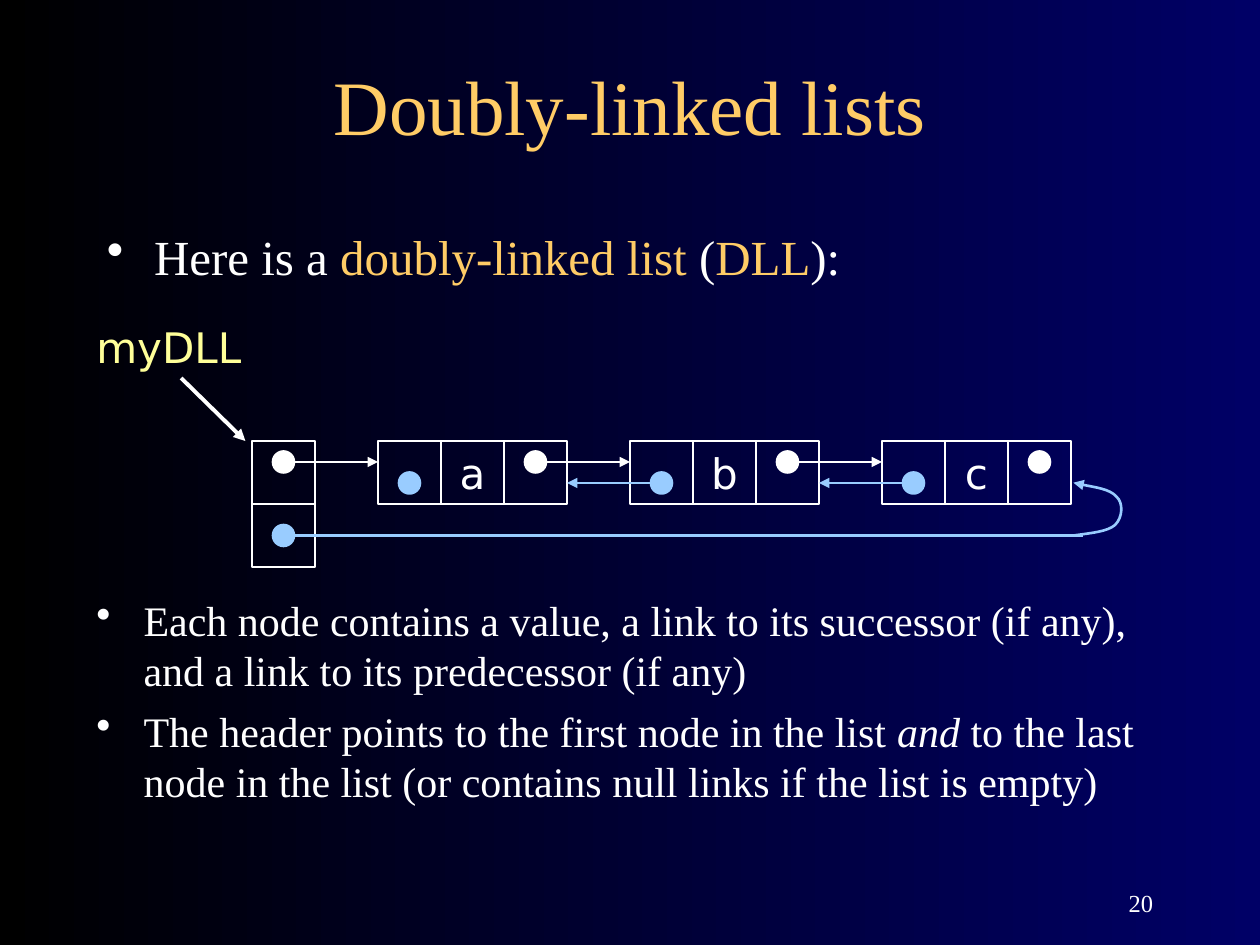
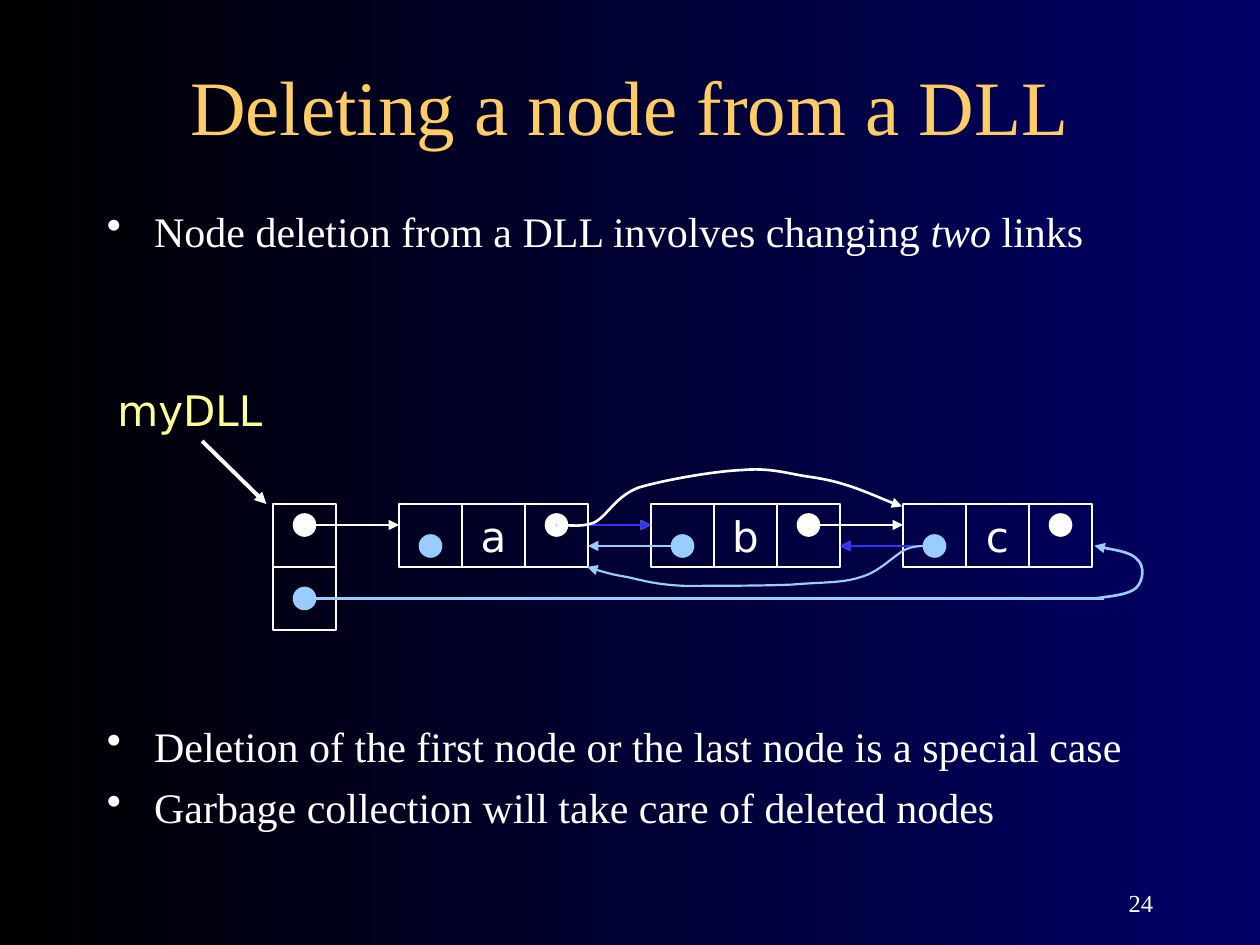
from dataclasses import dataclass

from lxml.etree import SubElement
from pptx import Presentation
from pptx.dml.color import RGBColor
from pptx.enum.shapes import MSO_CONNECTOR, MSO_SHAPE
from pptx.enum.text import MSO_ANCHOR, MSO_AUTO_SIZE, PP_ALIGN
from pptx.oxml.ns import qn
from pptx.util import Pt


@dataclass(frozen=True)
class Theme:
    black: str = "000000"
    navy: str = "000066"
    white: str = "FFFFFF"
    gold: str = "FFCC66"
    yellow: str = "FFFF99"
    sky: str = "99CCFF"
    blue: str = "3333FF"
    serif: str = "Times New Roman"
    sans: str = "DejaVu Sans"
    title_size: int = 44
    lead_size: int = 28
    body_size: int = 24
    number_size: int = 14
    line_width: float = 1.5


THEME = Theme()

# Content: a bullet is a list of (text, style) runs; boxes are left, top, width, height
NODE_VALUES = ["a", "b", "c"]
SLIDES = [
    {
        "title": "Doubly-linked lists",
        "number": "20",
        "bullet_boxes": [
            {"box": (54, 126, 612, 54), "size": THEME.lead_size, "space": 7, "bullets": [
                [("Here is a ", ""), ("doubly-linked list", "term"), (" (", ""),
                 ("DLL", "term"), ("):", "")],
            ]},
            {"box": (48, 336, 612, 186), "size": THEME.body_size, "space": 6, "bullets": [
                [("Each node contains a value, a link to its successor (if any), "
                  "and a link to its predecessor (if any)", "")],
                [("The header points to the first node in the list ", ""), ("and", "italic"),
                 (" to the last node in the list (or contains null links if the list is empty)", "")],
            ]},
        ],
        "list_origin": (144, 252),
        "deleted_node": None,
    },
    {
        "title": "Deleting a node from a DLL",
        "number": "24",
        "bullet_boxes": [
            {"box": (54, 114, 612, 49), "size": THEME.body_size, "space": 6, "bullets": [
                [("Node deletion from a DLL involves changing ", ""), ("two", "italic"),
                 (" links", "")],
            ]},
            {"box": (54, 408, 612, 96), "size": THEME.body_size, "space": 6, "bullets": [
                [("Deletion of the first node or the last node is a special case", "")],
                [("Garbage collection will take care of deleted nodes", "")],
            ]},
        ],
        "list_origin": (156, 288),
        "deleted_node": 1,
    },
]

# Diagram measures, relative to the top left corner of the list header
CELL = 36
DOT = 12
NODE_WIDTH = 3 * CELL
NODE_PITCH = 4 * CELL
FIRST_NODE = 2 * CELL
NEXT_Y, PREVIOUS_Y, LAST_Y = 12, 24, 54

# Bezier points: a start, then two controls and an end for each piece
LAST_LINK_HOOK = [
    (469.4, 54), (479.5, 52.6), (488.9, 51.8), (493.2, 48), (497.5, 43.9),
    (498.2, 35.3), (493.9, 31.7), (490.3, 27.4), (474.5, 25.2), (469.4, 23.8)]
NEXT_BYPASS = [
    (162, 12), (165.8, 11.5), (175.2, 13.7), (183.1, 10.8), (191, 7.2),
    (195.4, -4.3), (209, -9.4), (223.4, -13.7), (251.5, -18.7), (268.1, -19.4),
    (283.9, -20.9), (294.7, -17.3), (304.8, -15.8), (314.2, -14.4),
    (318.5, -13.7), (327.8, -10.8), (337.2, -7.9), (353, -0.7), (359.5, 1.4)]
PREVIOUS_BYPASS = [
    (378, 24), (375.4, 24.5), (368.2, 23), (361.7, 25.9), (354.5, 29.5),
    (346.6, 38.9), (335.8, 41.8), (325, 45.4), (313.4, 44.6), (296.2, 46.1),
    (279.6, 46.8), (250.1, 46.8), (235, 46.8), (219.1, 46.1), (211.9, 43.9),
    (202.6, 41.8), (193.2, 40.3), (183.8, 37.4), (179.5, 36)]


# Text helpers
def color(value):
    return RGBColor.from_string(value)


def add_span(para, text, size, ink=THEME.white, font=THEME.serif, italic=False):
    span = para.add_run()
    span.text = text
    span.font.size = Pt(size)
    span.font.name = font
    span.font.italic = italic
    span.font.color.rgb = color(ink)


def add_text_box(shapes, left, top, width, height):
    box = shapes.add_textbox(Pt(left), Pt(top), Pt(width), Pt(height))
    box.text_frame.word_wrap = True
    return box.text_frame


def add_bullets(page, box, size, space, bullets):
    frame = add_text_box(page.shapes, *box)
    for index, spans in enumerate(bullets):
        para = frame.add_paragraph() if index else frame.paragraphs[0]
        para.space_before = Pt(space)
        props = para._p.get_or_add_pPr()
        props.set("marL", str(Pt(27)))
        props.set("indent", str(-Pt(27)))
        bullet_ink = SubElement(props, qn("a:buClr"))
        SubElement(bullet_ink, qn("a:srgbClr"), val=THEME.white)
        SubElement(props, qn("a:buChar"), char="•")
        for text, style in spans:
            ink = THEME.gold if style == "term" else THEME.white
            add_span(para, text, size, ink, italic=style == "italic")


class ListDiagram:
    """Draws shapes at offsets from the list header's corner."""

    def __init__(self, shapes, origin):
        self.shapes = shapes
        self.left, self.top = origin

    def at(self, x, y):
        return Pt(self.left + x), Pt(self.top + y)

    def style_line(self, shape, ink, width, arrow):
        shape.line.color.rgb = color(ink)
        shape.line.width = Pt(width)
        if arrow:
            SubElement(shape.line._get_or_add_ln(), qn("a:tailEnd"), type="triangle")

    def cell(self, x, y, value=""):
        box = self.shapes.add_shape(MSO_SHAPE.RECTANGLE, *self.at(x, y), Pt(CELL), Pt(CELL))
        box.shadow.inherit = False
        box.fill.background()
        self.style_line(box, THEME.white, THEME.line_width, False)
        if value:
            frame = box.text_frame
            frame.word_wrap = False
            frame.vertical_anchor = MSO_ANCHOR.MIDDLE
            frame.paragraphs[0].alignment = PP_ALIGN.CENTER
            add_span(frame.paragraphs[0], value, THEME.body_size, font=THEME.sans)

    def dot(self, center_x, center_y, ink):
        corner = self.at(center_x - DOT / 2, center_y - DOT / 2)
        dot = self.shapes.add_shape(MSO_SHAPE.OVAL, *corner, Pt(DOT), Pt(DOT))
        dot.shadow.inherit = False
        dot.fill.solid()
        dot.fill.fore_color.rgb = color(ink)
        self.style_line(dot, ink, THEME.line_width, False)

    def link(self, start, end, ink, width=THEME.line_width, arrow=True):
        line = self.shapes.add_connector(
            MSO_CONNECTOR.STRAIGHT, *self.at(*start), *self.at(*end))
        self.style_line(line, ink, width, arrow)
        SubElement(line._element.spPr, qn("a:effectLst"))

    def curve(self, points, ink, width=THEME.line_width):
        places = [self.at(*point) for point in points]
        builder = self.shapes.build_freeform(*places[0])
        builder.add_line_segments(places[1:], close=False)
        curve = builder.convert_to_shape()
        curve.shadow.inherit = False
        curve.fill.background()
        self.style_line(curve, ink, width, True)
        # Merge each three straight segments into one Bezier piece
        segments = list(curve._element.iter(qn("a:lnTo")))
        for first, second, third in zip(segments[::3], segments[1::3], segments[2::3]):
            first.tag = qn("a:cubicBezTo")
            for segment in (second, third):
                first.append(segment[0])
                segment.getparent().remove(segment)

    def next_link(self, x, ink=THEME.white):
        self.link((x, NEXT_Y), (x + 1.5 * CELL, NEXT_Y), ink)

    def previous_link(self, x, ink=THEME.sky):
        self.link((x, PREVIOUS_Y), (x - 1.5 * CELL, PREVIOUS_Y), ink)


def node_left(index):
    return FIRST_NODE + index * NODE_PITCH


def draw_list(page, origin):
    diagram = ListDiagram(page.shapes.add_group_shape().shapes, origin)
    middle = CELL / 2

    # Variable name and its pointer
    diagram.link((-40.5, -36), (-3.75, 0), THEME.white, 2.25)
    label = add_text_box(diagram.shapes, origin[0] - 96, origin[1] - 72, 102, 36)
    label.paragraphs[0].space_before = Pt(15)
    add_span(label.paragraphs[0], "myDLL", THEME.body_size, THEME.yellow, THEME.sans)

    # Header
    diagram.cell(0, 0)
    diagram.cell(0, CELL)
    diagram.dot(middle, NEXT_Y, THEME.white)
    diagram.dot(middle, LAST_Y, THEME.sky)
    diagram.next_link(middle)
    diagram.link((middle, LAST_Y), (475, LAST_Y), THEME.sky, arrow=False)
    diagram.curve(LAST_LINK_HOOK, THEME.sky)

    # Nodes: previous link, value, next link
    for index, value in enumerate(NODE_VALUES):
        left = node_left(index)
        for column, text in enumerate(["", value, ""]):
            diagram.cell(left + column * CELL, 0, text)
        diagram.dot(left + middle, PREVIOUS_Y, THEME.sky)
        diagram.dot(left + NODE_WIDTH - middle, NEXT_Y, THEME.white)
    for index in range(len(NODE_VALUES) - 1):
        diagram.next_link(node_left(index) + NODE_WIDTH - middle)
        diagram.previous_link(node_left(index + 1) + middle)


def draw_deletion(page, origin, deleted):
    diagram = ListDiagram(page.shapes, origin)
    diagram.previous_link(node_left(deleted + 1) + CELL / 2, THEME.blue)
    diagram.next_link(node_left(deleted - 1) + NODE_WIDTH - CELL / 2, THEME.blue)
    diagram.curve(NEXT_BYPASS, THEME.white)
    diagram.curve(PREVIOUS_BYPASS, THEME.sky, 1.25)


# Shared slide parts
def set_background(deck):
    fill = deck.slide_master.background.fill
    fill.gradient()
    fill.gradient_angle = 0
    for stop, ink in zip(fill.gradient_stops, (THEME.black, THEME.navy)):
        stop.color.rgb = color(ink)


def add_title(page, text):
    title = page.shapes.title
    title.left, title.top, title.width, title.height = Pt(54), Pt(30), Pt(612), Pt(60)
    frame = title.text_frame
    frame.auto_size = MSO_AUTO_SIZE.NONE
    frame.vertical_anchor = MSO_ANCHOR.MIDDLE
    frame.paragraphs[0].alignment = PP_ALIGN.CENTER
    add_span(frame.paragraphs[0], text, THEME.title_size, THEME.gold)


def add_number(page, number):
    frame = add_text_box(page.shapes, 516, 492, 150, 36)
    frame.vertical_anchor = MSO_ANCHOR.BOTTOM
    frame.paragraphs[0].alignment = PP_ALIGN.RIGHT
    add_span(frame.paragraphs[0], number, THEME.number_size)


def main():
    deck = Presentation()
    deck.slide_width, deck.slide_height = Pt(720), Pt(540)
    set_background(deck)
    title_only = deck.slide_layouts[5]
    for content in SLIDES:
        page = deck.slides.add_slide(title_only)
        add_title(page, content["title"])
        add_number(page, content["number"])
        for bullet_box in content["bullet_boxes"]:
            add_bullets(page, **bullet_box)
        draw_list(page, content["list_origin"])
        if content["deleted_node"] is not None:
            draw_deletion(page, content["list_origin"], content["deleted_node"])
    deck.save("out.pptx")


if __name__ == "__main__":
    main()
